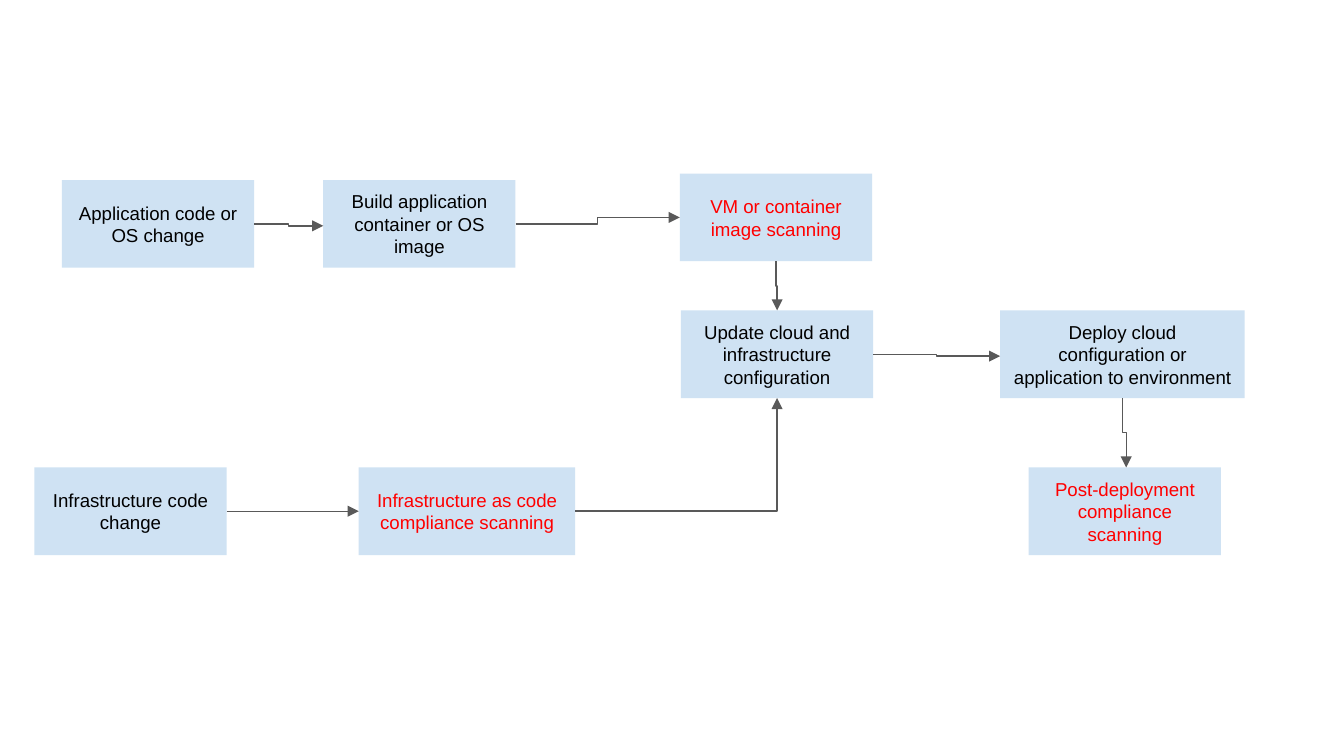
import dataclasses

import lxml.etree
import pptx
import pptx.dml.color
import pptx.enum.shapes
import pptx.enum.text
import pptx.oxml.ns
import pptx.util

Pt = pptx.util.Pt
RGBColor = pptx.dml.color.RGBColor
qn = pptx.oxml.ns.qn


@dataclasses.dataclass(frozen=True)
class Theme:
    """Hold the colours and type of the slide."""

    step_fill: RGBColor = RGBColor(0xCF, 0xE2, 0xF3)
    step_text: RGBColor = RGBColor(0, 0, 0)
    scan_text: RGBColor = RGBColor(0xFF, 0, 0)
    arrow: RGBColor = RGBColor(0x59, 0x59, 0x59)
    font: str = "Arial"
    size: float = 10
    arrow_width: float = 0.75


THEME = Theme()
STEP_WIDTH, STEP_HEIGHT = 103, 47


def add_step(slide, left, top, text, width=STEP_WIDTH, color=THEME.step_text):
    """Add one pipeline step as a filled box with centred text."""
    step = slide.shapes.add_shape(
        pptx.enum.shapes.MSO_SHAPE.RECTANGLE, Pt(left), Pt(top), Pt(width), Pt(STEP_HEIGHT)
    )
    step.shadow.inherit = False
    step.fill.solid()
    step.fill.fore_color.rgb = THEME.step_fill
    step.line.fill.background()
    frame = step.text_frame
    frame.word_wrap = True
    frame.vertical_anchor = pptx.enum.text.MSO_ANCHOR.MIDDLE
    frame.margin_left = frame.margin_right = frame.margin_top = frame.margin_bottom = Pt(7.2)
    frame.text = text
    paragraph = frame.paragraphs[0]
    paragraph.alignment = pptx.enum.text.PP_ALIGN.CENTER
    paragraph.font.name = THEME.font
    paragraph.font.size = Pt(THEME.size)
    paragraph.font.color.rgb = color
    return step


def edge_point(step, side):
    """Return the middle of one side of a step."""
    across, down = {"left": (0, 0.5), "right": (1, 0.5), "top": (0.5, 0), "bottom": (0.5, 1)}[side]
    return int(step.left + across * step.width), int(step.top + down * step.height)


def add_arrow(slide, source, source_side, target, target_side, shift_x=0, shift_y=0):
    """Join two steps with an elbow arrow, shifting its tip by the given points."""
    start_x, start_y = edge_point(source, source_side)
    end_x, end_y = edge_point(target, target_side)
    end_x, end_y = end_x + Pt(shift_x), end_y + Pt(shift_y)
    arrow = slide.shapes.add_connector(
        pptx.enum.shapes.MSO_CONNECTOR.ELBOW, start_x, start_y, end_x, end_y
    )
    arrow.line.color.rgb = THEME.arrow
    arrow.line.width = Pt(THEME.arrow_width)
    properties = arrow._element.spPr
    lxml.etree.SubElement(properties.find(qn("a:ln")), qn("a:tailEnd"), type="triangle")
    lxml.etree.SubElement(properties, qn("a:effectLst"))

    if source_side == "bottom":
        run, drop = end_x - start_x, end_y - start_y
        arrow.left = (start_x + end_x - drop) // 2
        arrow.top = (start_y + end_y - run) // 2
        arrow.width, arrow.height = drop, run
        transform = properties.find(qn("a:xfrm"))
        transform.set("rot", "16200000")
        transform.set("flipH", "1")
    elif target_side == "bottom":
        properties.find(qn("a:prstGeom")).set("prst", "bentConnector2")


def add_application_path(slide, left, top):
    """Draw the application row and return its image scan."""
    change = add_step(slide, left, top + 3.5, "Application code or OS change")
    build = add_step(slide, left + 140, top + 3.5, "Build application container or OS image")
    scan = add_step(slide, left + 331, top, "VM or container image scanning", color=THEME.scan_text)
    add_arrow(slide, change, "right", build, "left", shift_y=1)
    add_arrow(slide, build, "right", scan, "left")
    return scan


def add_infrastructure_path(slide, left, top):
    """Draw the infrastructure row and return its code scan."""
    change = add_step(slide, left, top, "Infrastructure code change")
    scan = add_step(
        slide, left + 173.8, top, "Infrastructure as code compliance scanning", 116, THEME.scan_text
    )
    add_arrow(slide, change, "right", scan, "left")
    return scan


def add_deployment_path(slide, left, top):
    """Draw the update and deployment steps and return the update."""
    update = add_step(slide, left, top, "Update cloud and infrastructure configuration")
    deploy = add_step(
        slide, left + 171, top, "Deploy cloud configuration or application to environment", 131
    )
    scan = add_step(
        slide, left + 186.3, top + 84.1, "Post-deployment compliance scanning", color=THEME.scan_text
    )
    add_arrow(slide, update, "right", deploy, "left", shift_y=1)
    add_arrow(slide, deploy, "bottom", scan, "top", shift_x=0.7)
    return update


def main():
    """Build the pipeline slide and save it."""
    presentation = pptx.Presentation()
    presentation.slide_width, presentation.slide_height = Pt(720), Pt(405)
    slide = presentation.slides.add_slide(presentation.slide_layouts[6])
    image_scan = add_application_path(slide, 33.2, 93)
    code_scan = add_infrastructure_path(slide, 18.4, 250.4)
    update = add_deployment_path(slide, 364.8, 166.3)
    add_arrow(slide, image_scan, "bottom", update, "top")
    add_arrow(slide, code_scan, "right", update, "bottom")
    presentation.save("out.pptx")


if __name__ == "__main__":
    main()
